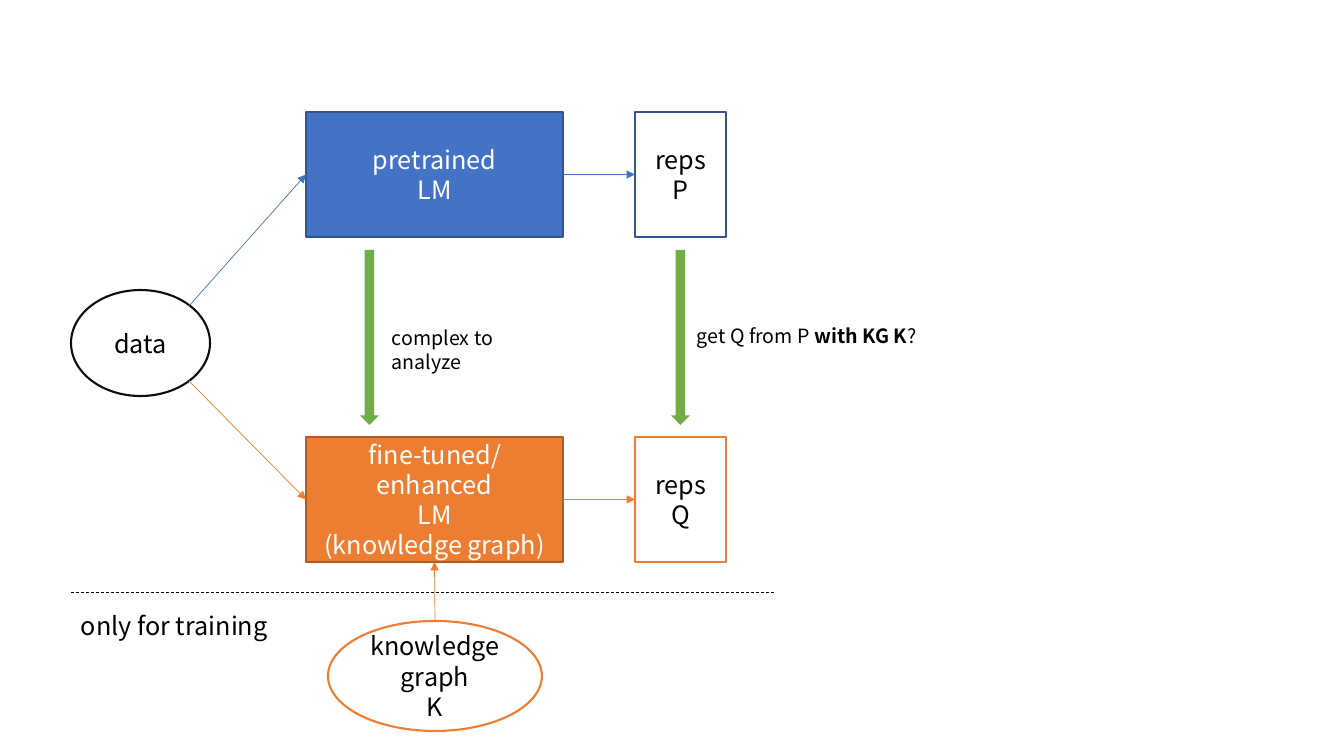
from dataclasses import dataclass
from typing import Optional

import lxml.etree
import pptx
import pptx.dml.color
import pptx.enum.dml
import pptx.enum.shapes
import pptx.enum.text
import pptx.oxml.ns
import pptx.util

EMU_PER_PIXEL = 914400 / 100.8
PRESET = pptx.enum.shapes.MSO_SHAPE
TOP, LEFT, BOTTOM, RIGHT = range(4)


@dataclass(frozen=True)
class Theme:
    font: str = "Noto Sans CJK SC"
    body: int = 18
    note: int = 14
    line_pitch: float = 1.2
    outline: float = 1.5
    thin: float = 0.5
    blue: str = "4472C4"
    dark_blue: str = "325491"
    orange: str = "ED7D31"
    dark_orange: str = "AF5C24"
    green: str = "70AD47"
    ink: str = "0D0D0D"
    black: str = "000000"
    white: str = "FFFFFF"


THEME = Theme()


@dataclass(frozen=True)
class Box:
    left: int
    top: int
    width: int
    height: int

    def emu(self) -> list[int]:
        return [px(n) for n in (self.left, self.top, self.width, self.height)]


@dataclass(frozen=True)
class Node:
    box: Box
    preset: PRESET
    lines: tuple[str, ...] = ()
    fill: Optional[str] = None
    line: Optional[str] = None
    line_width: float = THEME.outline
    ink: str = THEME.black


@dataclass(frozen=True)
class Note:
    box: Box
    runs: tuple[tuple[str, bool], ...]
    size: int = THEME.note


def px(pixels: float) -> int:
    return round(pixels * EMU_PER_PIXEL)


def rgb(color: str) -> pptx.dml.color.RGBColor:
    return pptx.dml.color.RGBColor.from_string(color)


def style_paragraph(paragraph, size: int, color: str) -> None:
    paragraph.font.name = THEME.font
    paragraph.font.size = pptx.util.Pt(size)
    paragraph.font.color.rgb = rgb(color)
    paragraph.line_spacing = pptx.util.Pt(size * THEME.line_pitch)


def draw_node(slide, node: Node):
    shape = slide.shapes.add_shape(node.preset, *node.box.emu())
    shape.shadow.inherit = False
    if node.fill:
        shape.fill.solid()
        shape.fill.fore_color.rgb = rgb(node.fill)
    else:
        shape.fill.background()
    if node.line:
        shape.line.color.rgb = rgb(node.line)
        shape.line.width = pptx.util.Pt(node.line_width)
    else:
        shape.line.fill.background()
    frame = shape.text_frame
    frame.vertical_anchor = pptx.enum.text.MSO_ANCHOR.MIDDLE
    for index, text in enumerate(node.lines):
        paragraph = frame.add_paragraph() if index else frame.paragraphs[0]
        paragraph.text = text
        paragraph.alignment = pptx.enum.text.PP_ALIGN.CENTER
        style_paragraph(paragraph, THEME.body, node.ink)
    return shape


def draw_note(slide, note: Note) -> None:
    frame = slide.shapes.add_textbox(*note.box.emu()).text_frame
    frame.word_wrap = True
    paragraph = frame.paragraphs[0]
    style_paragraph(paragraph, note.size, THEME.black)
    for text, bold in note.runs:
        run = paragraph.add_run()
        run.text = text
        if bold:
            run.font.bold = True


def draw_line(slide, start: tuple[int, int], end: tuple[int, int], color: str):
    connector = slide.shapes.add_connector(
        pptx.enum.shapes.MSO_CONNECTOR.STRAIGHT, *map(px, start + end))
    connector.line.color.rgb = rgb(color)
    connector.line.width = pptx.util.Pt(THEME.thin)
    properties = connector._element.spPr
    lxml.etree.SubElement(properties, pptx.oxml.ns.qn("a:effectLst"))
    return connector


def draw_arrow(slide, start: tuple[int, int], target, site: int, color: str,
               source=None, source_site: int = RIGHT) -> None:
    arrow = draw_line(slide, start, start, color)
    if source is not None:
        arrow.begin_connect(source, source_site)
    arrow.end_connect(target, site)
    outline = arrow.line._get_or_add_ln()
    lxml.etree.SubElement(outline, pptx.oxml.ns.qn("a:tailEnd"), type="triangle")


@dataclass(frozen=True)
class Row:
    top: int
    model_lines: tuple[str, ...]
    reps_name: str
    color: str
    model_line: str
    reps_line: str
    data_exit: tuple[int, int]


ROWS = (
    Row(112, ("pretrained", "LM"), "P", THEME.blue, THEME.dark_blue,
        THEME.dark_blue, (189, 306)),
    Row(437, ("fine-tuned/enhanced", "LM", "(knowledge graph)"), "Q",
        THEME.orange, THEME.dark_orange, THEME.orange, (189, 381)),
)
MODEL_LEFT, MODEL_WIDTH = 306, 257
REPS_LEFT, REPS_WIDTH = 635, 91
ROW_HEIGHT = 125
DATA = Node(Box(71, 290, 139, 106), PRESET.OVAL, ("data",), line=THEME.ink)
KNOWLEDGE_GRAPH = Node(Box(328, 621, 214, 110), PRESET.OVAL,
                       ("knowledge graph", "K"), line=THEME.orange)
CHANGE_ARROW_LEFTS = (360, 671)
NOTES = (
    Note(Box(71, 605, 214, 40), (("only for training", False),), THEME.body),
    Note(Box(382, 321, 195, 34), (("complex to analyze", False),)),
    Note(Box(687, 319, 241, 34),
         (("get Q from P ", False), ("with KG K", True), ("?", False))),
)

presentation = pptx.Presentation()
presentation.slide_width = px(1344)
presentation.slide_height = px(756)
slide = presentation.slides.add_slide(presentation.slide_layouts[6])

draw_node(slide, DATA)
knowledge_graph = draw_node(slide, KNOWLEDGE_GRAPH)
for row in ROWS:
    model = draw_node(slide, Node(
        Box(MODEL_LEFT, row.top, MODEL_WIDTH, ROW_HEIGHT), PRESET.RECTANGLE,
        row.model_lines, row.color, row.model_line, 1, THEME.white))
    reps = draw_node(slide, Node(
        Box(REPS_LEFT, row.top, REPS_WIDTH, ROW_HEIGHT), PRESET.RECTANGLE,
        ("reps", row.reps_name), line=row.reps_line))
    draw_arrow(slide, row.data_exit, model, LEFT, row.color)
    draw_arrow(slide, row.data_exit, reps, LEFT, row.color, model)
draw_arrow(slide, (435, 621), model, BOTTOM, THEME.orange, knowledge_graph, TOP)

training_divider = draw_line(slide, (71, 592), (775, 592), THEME.black)
training_divider.line.dash_style = pptx.enum.dml.MSO_LINE.DASH
for left in CHANGE_ARROW_LEFTS:
    draw_node(slide, Node(Box(left, 250, 19, 175), PRESET.DOWN_ARROW, fill=THEME.green))
for note in NOTES:
    draw_note(slide, note)

presentation.save("out.pptx")
